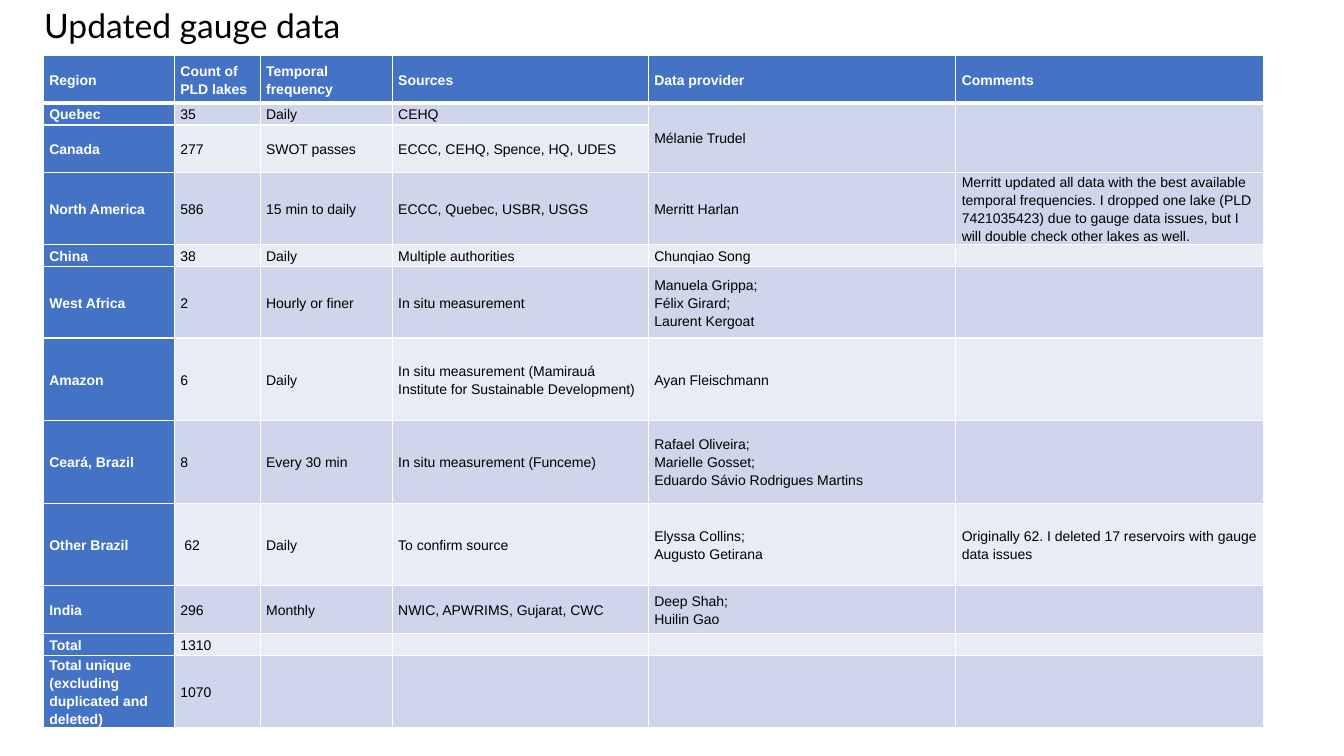
import pptx
import pptx.dml.color
import pptx.enum.text
import pptx.oxml
import pptx.oxml.ns
import pptx.util
from dataclasses import dataclass


@dataclass(frozen=True)
class Theme:
    header: str = "4472C4"
    bands: tuple = ("E9EBF5", "CFD5EA")
    light: str = "FFFFFF"
    dark: str = "000000"
    title_font: str = "Lato"
    table_font: str = "Arial"
    title_size: int = 24
    table_size: int = 10
    spacing: float = 1.15
    rule: int = 1
    header_rule: int = 3
    cell_inset: float = 0.06


COLUMNS = (1.3, 0.85, 1.31, 2.54, 3.05, 3.05)
ROWS = (0.47, 0.22, 0.47, 0.71, 0.22, 0.71, 0.82, 0.82, 0.82, 0.47, 0.22, 0.71)
GAUGES = (
    ("Region", "Count of PLD lakes", "Temporal frequency", "Sources", "Data provider", "Comments"),
    ("Quebec", "35", "Daily", "CEHQ", "Mélanie Trudel", ""),
    ("Canada", "277", "SWOT passes", "ECCC, CEHQ, Spence, HQ, UDES", "", ""),
    ("North America", "586", "15 min to daily", "ECCC, Quebec, USBR, USGS", "Merritt Harlan",
     "Merritt updated all data with the best available temporal frequencies. "
     "I dropped one lake (PLD 7421035423) due to gauge data issues, "
     "but I will double check other lakes as well."),
    ("China", "38", "Daily", "Multiple authorities", "Chunqiao Song", ""),
    ("West Africa", "2", "Hourly or finer", "In situ measurement",
     "Manuela Grippa;\nFélix Girard;\nLaurent Kergoat", ""),
    ("Amazon", "6", "Daily",
     "In situ measurement (Mamirauá Institute for Sustainable Development)",
     "Ayan Fleischmann", ""),
    ("Ceará, Brazil", "8", "Every 30 min", "In situ measurement (Funceme)",
     "Rafael Oliveira;\nMarielle Gosset;\nEduardo Sávio Rodrigues Martins", ""),
    ("Other Brazil", " 62", "Daily", "To confirm source", "Elyssa Collins;\nAugusto Getirana",
     "Originally 62. I deleted 17 reservoirs with gauge data issues"),
    ("India", "296", "Monthly", "NWIC, APWRIMS, Gujarat, CWC", "Deep Shah;\nHuilin Gao", ""),
    ("Total", "1310", "", "", "", ""),
    ("Total unique (excluding duplicated and deleted)", "1070", "", "", "", ""),
)
SHARED_CELLS = (((1, 4), (2, 4)), ((1, 5), (2, 5)))


def apply(target, values):
    for name, value in values.items():
        setattr(target, name, value)


class GaugeSlide:
    def __init__(self, deck, theme):
        self.theme = theme
        self.width, self.height = deck.slide_width, deck.slide_height
        self.page = deck.slides.add_slide(deck.slide_layouts[6])

    def place(self, left, top, width, height):
        return (round(left * self.width), round(top * self.height),
                round(width * self.width), round(height * self.height))

    def add_span(self, para, text, color, **font):
        span = para.add_run()
        span.text = text
        apply(span.font, font)
        span.font.color.rgb = pptx.dml.color.RGBColor.from_string(color)

    def title(self, text, *shares):
        box = self.page.shapes.add_textbox(*self.place(*shares))
        apply(box.text_frame, {"word_wrap": True,
                               "vertical_anchor": pptx.enum.text.MSO_ANCHOR.MIDDLE})
        self.add_span(box.text_frame.paragraphs[0], text, self.theme.dark,
                      name=self.theme.title_font, size=pptx.util.Pt(self.theme.title_size))

    def table(self, content, columns, rows, merges, *shares):
        left, top, width, height = self.place(*shares)
        table = self.page.shapes.add_table(
            len(rows), len(columns), left, top, width, height).table
        apply(table, {"first_row": False, "horz_banding": False})
        for column, weight in zip(table.columns, columns):
            column.width = round(width * weight / sum(columns))
        for row, weight in zip(table.rows, rows):
            row.height = round(height * weight / sum(rows))
        for first, last in merges:
            table.cell(*first).merge(table.cell(*last))
        for r, texts in enumerate(content):
            for c, text in enumerate(texts):
                self.cell(table.cell(r, c), text, r, c)

    def cell(self, cell, text, row, column):
        theme = self.theme
        heading = row == 0 or column == 0
        inset = pptx.util.Inches(theme.cell_inset)
        apply(cell, {"margin_left": inset, "margin_right": inset,
                     "margin_top": 0, "margin_bottom": 0,
                     "vertical_anchor": pptx.enum.text.MSO_ANCHOR.MIDDLE})
        cell.fill.solid()
        cell.fill.fore_color.rgb = pptx.dml.color.RGBColor.from_string(
            theme.header if heading else theme.bands[row % 2])
        self.borders(cell, row)
        for number, line in enumerate(text.split("\n")):
            para = cell.text_frame.paragraphs[0] if number == 0 else cell.text_frame.add_paragraph()
            para.line_spacing = theme.spacing
            if line:
                self.add_span(para, line, theme.light if heading else theme.dark,
                              name=theme.table_font, size=pptx.util.Pt(theme.table_size),
                              bold=heading)
            else:
                para._p.append(pptx.oxml.parse_xml(
                    f'<a:endParaRPr {pptx.oxml.ns.nsdecls("a")} sz="{theme.table_size * 100}"/>'))

    def borders(self, cell, row):
        theme = self.theme
        weights = {"L": theme.rule, "R": theme.rule,
                   "T": theme.header_rule if row == 1 else theme.rule,
                   "B": theme.header_rule if row == 0 else theme.rule}
        properties = cell._tc.get_or_add_tcPr()
        for position, (side, weight) in enumerate(weights.items()):
            properties.insert(position, pptx.oxml.parse_xml(
                f'<a:ln{side} {pptx.oxml.ns.nsdecls("a")} w="{pptx.util.Pt(weight)}">'
                f'<a:solidFill><a:srgbClr val="{theme.light}"/></a:solidFill></a:ln{side}>'))


def main():
    deck = pptx.Presentation()
    apply(deck, {"slide_width": pptx.util.Inches(13.33),
                 "slide_height": pptx.util.Inches(7.5)})
    slide = GaugeSlide(deck, Theme())
    slide.table(GAUGES, COLUMNS, ROWS, SHARED_CELLS,
                0.43 / 13.33, 0.55 / 7.5, 12.1 / 13.33, sum(ROWS) / 7.5)
    slide.title("Updated gauge data", 0.34 / 13.33, 0, 12.19 / 13.33, 0.5 / 7.5)
    deck.save("out.pptx")


if __name__ == "__main__":
    main()
